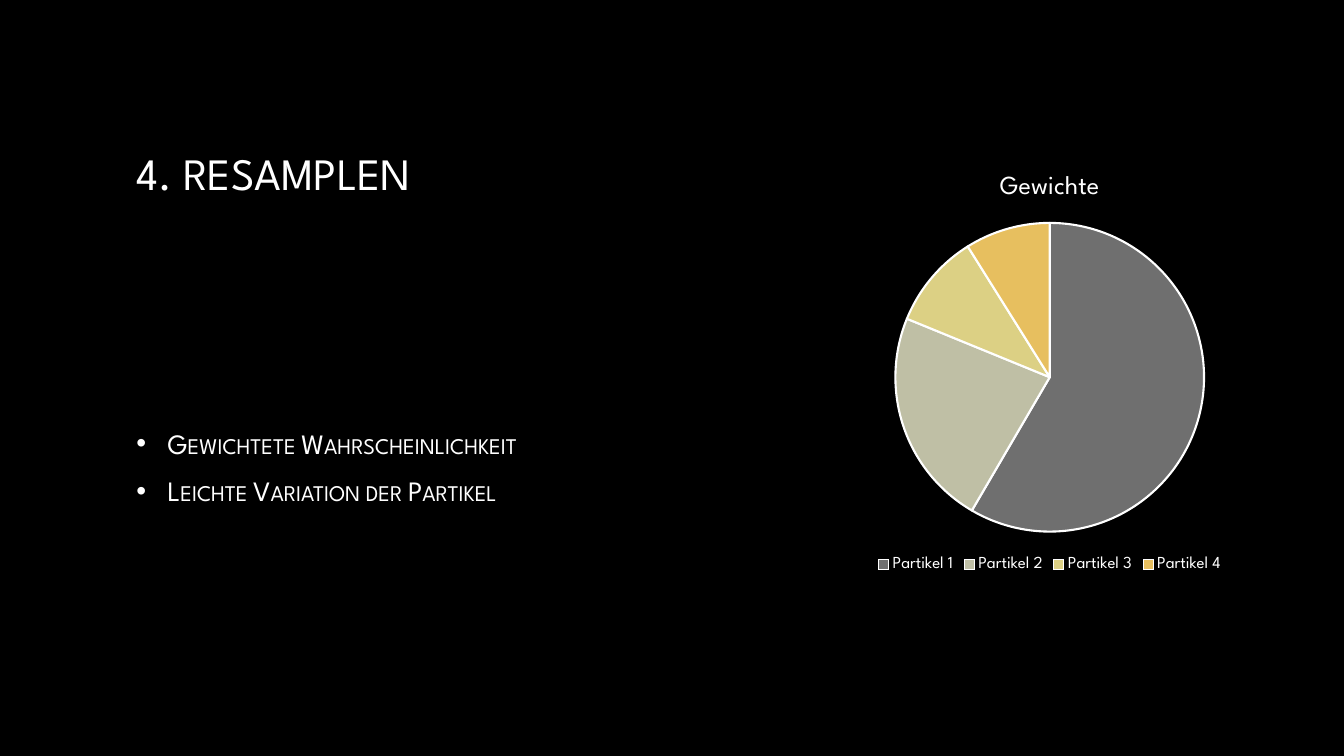
from pptx import Presentation
from pptx import util as u
from pptx.chart.data import CategoryChartData
from pptx.dml.color import RGBColor
from pptx.enum import chart as ch, text

FONT = "League Spartan"
WHITE = "FFFFFF"


def paint(fill, color):
    fill.solid()
    fill.fore_color.rgb = RGBColor.from_string(color)


def style(font, size):
    font.name = FONT
    font.size = u.Pt(size)
    font.bold = False
    paint(font.fill, WHITE)


def place(sp, box):
    sp.left, sp.top, sp.width, sp.height = box
    tf = sp.text_frame
    tf.word_wrap = True
    tf.auto_size = text.MSO_AUTO_SIZE.NONE
    tf.vertical_anchor = text.MSO_ANCHOR.MIDDLE
    return tf


def add_title(sp, box, heading):
    tf = place(sp, box)
    tf.text = heading
    p = tf.paragraphs[0]
    p.alignment = text.PP_ALIGN.LEFT
    style(p.runs[0].font, 32)


def add_bullets(sp, box, items):
    tf = place(sp, box)
    tf.text = "\n".join(items)
    for p in tf.paragraphs:
        p.space_after = u.Pt(6)
        indent = u.Cm(0.79)
        pPr = p._p.get_or_add_pPr()
        pPr.set("marL", str(indent))
        pPr.set("indent", str(-indent))
        r = p.runs[0]
        style(r.font, 20)
        r.font._element.set("cap", "small")


def add_weights_pie(s, box, name, weights, colors):
    data = CategoryChartData()
    data.categories = list(weights)
    data.add_series(name, list(weights.values()))
    chart = s.shapes.add_chart(ch.XL_CHART_TYPE.PIE, *box, data).chart
    style(chart.font, 10)

    chart.has_title = True
    tf = chart.chart_title.text_frame
    tf.text = name
    style(tf.paragraphs[0].runs[0].font, 18.6)
    chart.chart_title.include_in_layout = False

    chart.has_legend = True
    chart.legend.position = ch.XL_LEGEND_POSITION.BOTTOM
    chart.legend.include_in_layout = False
    style(chart.legend.font, 12)

    plot = chart.plots[0]
    plot.vary_by_categories = True
    for i, color in enumerate(colors):
        fmt = plot.series[0].points[i].format
        paint(fmt.fill, color)
        paint(fmt.line.fill, WHITE)
        fmt.line.width = u.Pt(1.5)


def main():
    prs = Presentation()
    prs.slide_width, prs.slide_height = u.Cm(33.87), u.Cm(19.05)
    s = prs.slides.add_slide(prs.slide_layouts[1])
    paint(s.background.fill, "000000")

    left, width = u.Cm(3.18), u.Cm(27.5)
    add_title(s.shapes.title, (left, u.Cm(1.7), width, u.Cm(5.28)), "4. RESAMPLEN")
    add_bullets(
        s.placeholders[1],
        (left, u.Cm(7.42), width, u.Cm(8.69)),
        ["Gewichtete Wahrscheinlichkeit", "Leichte Variation der Partikel"],
    )
    weights = {f"Partikel {n}": w for n, w in enumerate([59, 23, 10, 9], 1)}
    add_weights_pie(
        s,
        (u.Cm(20.12), u.Cm(3.89), u.Cm(12.67), u.Cm(10.64)),
        "Gewichte",
        weights,
        ["6F6F6F", "BFBFA5", "DCD084", "E7BF5F"],
    )
    prs.save("out.pptx")


if __name__ == "__main__":
    main()
